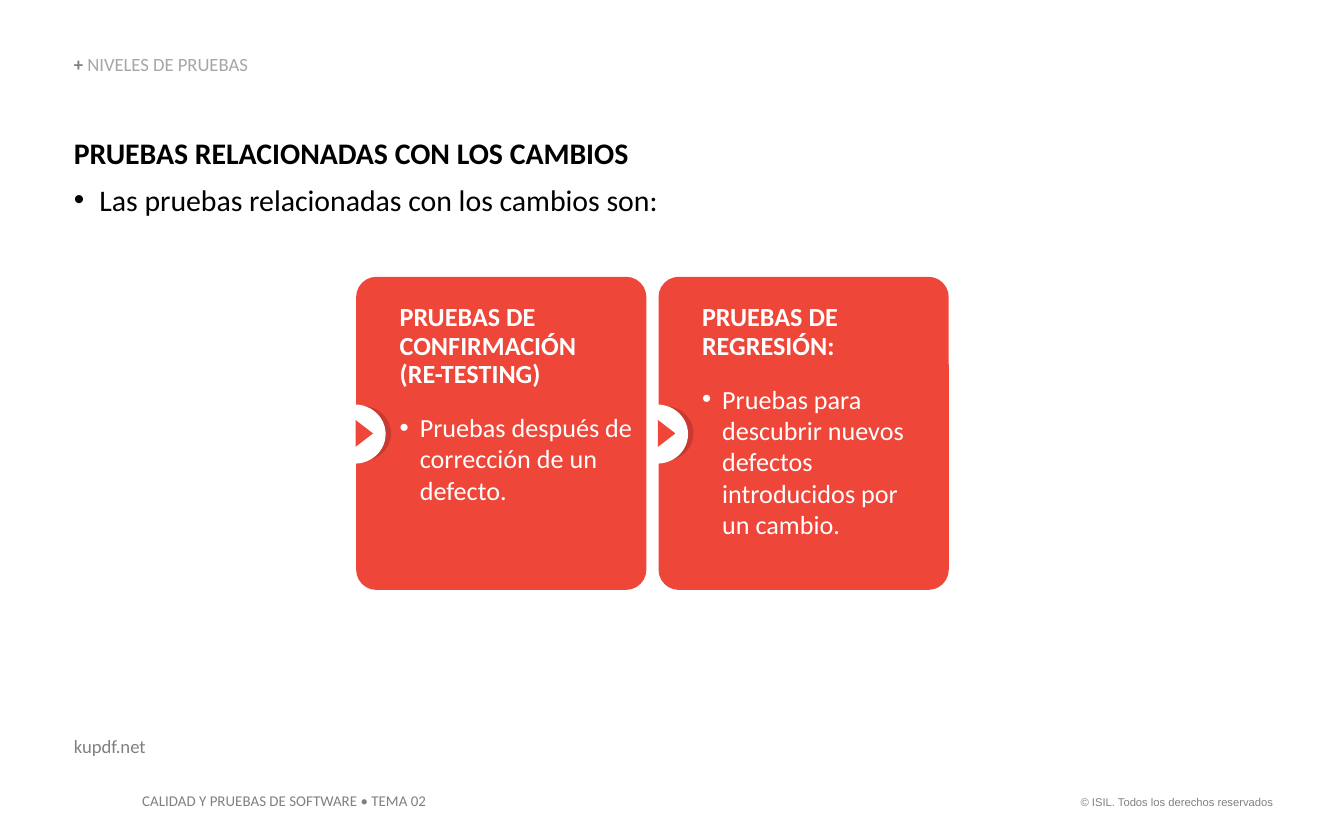
from lxml.etree import SubElement
from pptx import Presentation
from pptx.dml.color import RGBColor
from pptx.enum.shapes import MSO_SHAPE as Shape
from pptx.enum.text import MSO_ANCHOR as Anchor, MSO_AUTO_SIZE as AutoSize, PP_ALIGN as Align
from pptx.oxml.ns import qn
from pptx.util import Inches, Pt

WIDTH, HEIGHT = 10, 6.25
MARGIN = 5.5
CARD_LEFT, CARD_TOP, CARD_STEP = 26.5, 32.96, 22.5
CARD_WIDTH, CARD_HEIGHT = 21.6, 37.28
RED, DARK_RED, WHITE = "EE4639", "C73A31", "FFFFFF"
BLACK, GRAY, LIGHT_GRAY = "000000", "808080", "A6A6A6"

CARDS = [
    ("PRUEBAS DE CONFIRMACIÓN\n(RE-TESTING)",
     "Pruebas después de corrección de un defecto."),
    ("PRUEBAS DE REGRESIÓN:",
     "Pruebas para descubrir nuevos defectos introducidos por\nun cambio."),
]


def color(value):
    return RGBColor.from_string(value)


def place(left, top, width, height):
    """Turn percentages of the slide's width and height into lengths."""
    return (Inches(left * WIDTH / 100), Inches(top * HEIGHT / 100),
            Inches(width * WIDTH / 100), Inches(height * HEIGHT / 100))


def set_insets(frame, left=0, top=0, right=0, bottom=0):
    frame.margin_left, frame.margin_top = Inches(left), Inches(top)
    frame.margin_right, frame.margin_bottom = Inches(right), Inches(bottom)


def style(span, size, ink, bold=False, face="Calibri"):
    font = span.font
    font.name, font.size, font.bold = face, Pt(size), bold
    font.color.rgb = color(ink)


def write(para, text, size, ink, bold=False, face="Calibri"):
    para.text = text
    para.alignment = Align.LEFT
    for span in para.runs:
        style(span, size, ink, bold, face)


def add_bullet(para, indent, ink):
    properties = para._p.get_or_add_pPr()
    properties.set("marL", str(Inches(indent)))
    properties.set("indent", str(-Inches(indent)))
    bullet_color = SubElement(properties, qn("a:buClr"))
    SubElement(bullet_color, qn("a:srgbClr")).set("val", ink)
    SubElement(properties, qn("a:buFont")).set("typeface", "Arial")
    SubElement(properties, qn("a:buChar")).set("char", "•")


def add_title_and_bullet(frame, title, detail, size, ink, indent, gap):
    heading = frame.paragraphs[0]
    write(heading, title, size, ink, bold=True)
    heading.space_after = Pt(gap)
    item = frame.add_paragraph()
    add_bullet(item, indent, ink)
    write(item, detail, size, ink)
    return heading


def add_text_box(page, area, wrap=True):
    frame = page.shapes.add_textbox(*place(*area)).text_frame
    frame.word_wrap = wrap
    frame.auto_size = AutoSize.SHAPE_TO_FIT_TEXT
    if wrap:
        set_insets(frame)
    return frame


def add_solid(page, kind, area, fill):
    shape = page.shapes.add_shape(kind, *place(*area))
    shape.shadow.inherit = False
    shape.fill.solid()
    shape.fill.fore_color.rgb = color(fill)
    shape.line.fill.background()
    return shape


def add_marker(page, left):
    """Add the round arrow that sits on a card's left edge."""
    add_solid(page, Shape.OVAL, (left - 1.7, 48.32, 4.3, 6.56), DARK_RED)
    add_solid(page, Shape.OVAL, (left - 2.4, 48.16, 4.6, 7.04), WHITE)
    arrow = add_solid(page, Shape.ISOSCELES_TRIANGLE, (left - 0.4, 50.56, 2, 2.08), RED)
    arrow.rotation = 90


def add_card(page, left, title, detail):
    card = add_solid(page, Shape.ROUNDED_RECTANGLE,
                     (left, CARD_TOP, CARD_WIDTH, CARD_HEIGHT), RED)
    card.adjustments[0] = 0.07
    frame = card.text_frame
    frame.word_wrap = True
    frame.vertical_anchor = Anchor.TOP
    set_insets(frame, left=0.28, top=0.16, bottom=0.05)
    heading = add_title_and_bullet(frame, title, detail, 14, WHITE, 0.15, 12)
    heading.line_spacing = 0.9


def add_section_label(page):
    frame = add_text_box(page, (MARGIN, 6.56, 36.1, 2.4))
    frame.vertical_anchor = Anchor.BOTTOM
    para = frame.paragraphs[0]
    para.line_spacing = 0.9
    for text, ink, bold in (("+ ", GRAY, True), ("NIVELES DE PRUEBAS", LIGHT_GRAY, False)):
        span = para.add_run()
        span.text = text
        style(span, 10, ink, bold)


def add_footer(page):
    rights = add_text_box(page, (78.8, 93.92, 16.9, 3.2), wrap=False).paragraphs[0]
    write(rights, "© ISIL. Todos los derechos reservados", 6, GRAY, face="Arial")
    rights.alignment = Align.RIGHT
    course = add_text_box(page, (9.6, 93.44, 23.7, 3.84), wrap=False).paragraphs[0]
    write(course, "CALIDAD Y PRUEBAS DE SOFTWARE • TEMA 02", 8, GRAY)


def main():
    deck = Presentation()
    deck.slide_width, deck.slide_height = Inches(WIDTH), Inches(HEIGHT)
    page = deck.slides.add_slide(deck.slide_layouts[6])

    add_footer(page)
    add_title_and_bullet(add_text_box(page, (MARGIN, 16, 89.4, 9.92)),
                         "PRUEBAS RELACIONADAS CON LOS CAMBIOS",
                         "Las pruebas relacionadas con los cambios son:",
                         16, BLACK, 0.19, 6)
    source = add_text_box(page, (MARGIN, 87.52, 34.7, 2.72))
    write(source.paragraphs[0], "kupdf.net", 10, GRAY)
    add_section_label(page)

    # Right to left, so each card covers the outer half of the next marker.
    for column, (title, detail) in reversed(list(enumerate(CARDS))):
        left = CARD_LEFT + column * CARD_STEP
        add_card(page, left, title, detail)
        add_marker(page, left)

    deck.save("out.pptx")


if __name__ == "__main__":
    main()
